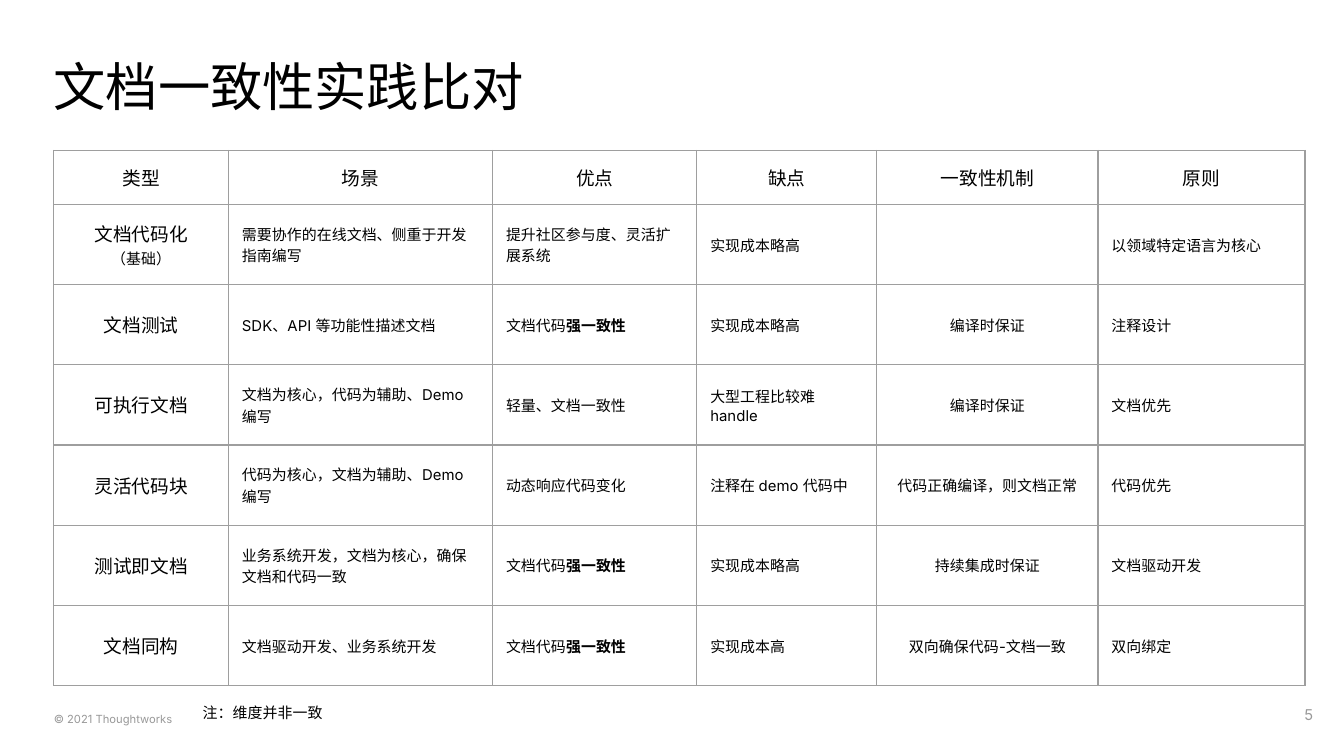
from lxml.etree import SubElement
from pptx import Presentation
from pptx.dml.color import RGBColor
from pptx.enum.text import MSO_ANCHOR as Anchor, MSO_AUTO_SIZE as AutoSize, PP_ALIGN as Align
from pptx.oxml.ns import qn
from pptx.util import Inches, Pt

# Lengths are counted in square grid units, 100 to the slide's width.
UNIT = Inches(10) / 100
SLIDE_WIDTH, SLIDE_HEIGHT = 100, 56.25
LATIN_FONT, CHINESE_FONT = "Inter", "Noto Sans CJK SC"
BLACK, GREY, BORDER = "000000", "999999", "9E9E9E"

COLUMN_WIDTHS = [13, 19.65, 15.2, 13.4, 16.45, 15.4]
HEADER_HEIGHT, ROW_HEIGHT = 4, 5.97
CENTERED_COLUMNS = {0, 4}
HEADINGS = ["类型", "场景", "优点", "缺点", "一致性机制", "原则"]
STRONG = "强一致性"
PRACTICES = [
    ["文档代码化\n（基础）", "需要协作的在线文档、侧重于开发指南编写", "提升社区参与度、灵活扩展系统",
     "实现成本略高", "", "以领域特定语言为核心"],
    ["文档测试", "SDK、API 等功能性描述文档", "文档代码强一致性",
     "实现成本略高", "编译时保证", "注释设计"],
    ["可执行文档", "文档为核心，代码为辅助、Demo 编写", "轻量、文档一致性",
     "大型工程比较难 handle", "编译时保证", "文档优先"],
    ["灵活代码块", "代码为核心，文档为辅助、Demo 编写", "动态响应代码变化",
     "注释在 demo 代码中", "代码正确编译，则文档正常", "代码优先"],
    ["测试即文档", "业务系统开发，文档为核心，确保文档和代码一致", "文档代码强一致性",
     "实现成本略高", "持续集成时保证", "文档驱动开发"],
    ["文档同构", "文档驱动开发、业务系统开发", "文档代码强一致性",
     "实现成本高", "双向确保代码-文档一致", "双向绑定"],
]


def units(count):
    return round(count * UNIT)


def color(value):
    return RGBColor.from_string(value)


def add_run(paragraph, text, size, fill=BLACK, bold=False, latin=LATIN_FONT):
    run = paragraph.add_run()
    run.text = text
    font = run.font
    font.size, font.bold, font.name = Pt(size), bold, latin
    font.color.rgb = color(fill)
    run._r.get_or_add_rPr().find(qn("a:latin")).addnext(
        SubElement(run._r.rPr, qn("a:ea"), typeface=CHINESE_FONT))


def set_margins(frame, inset):
    frame.margin_left = frame.margin_right = units(inset)
    frame.margin_top = frame.margin_bottom = units(inset)


def add_title(slide, box, text):
    title = slide.shapes.title
    title.left, title.top, title.width, title.height = map(units, box)
    frame = title.text_frame
    set_margins(frame, 0)
    frame.word_wrap, frame.auto_size = True, AutoSize.NONE
    frame.vertical_anchor = Anchor.TOP
    paragraph = frame.paragraphs[0]
    paragraph.alignment = Align.LEFT
    add_run(paragraph, text, 28, latin=CHINESE_FONT)


def add_label(slide, box, text, size, fill, inset=1, anchor=Anchor.TOP, align=Align.LEFT):
    frame = slide.shapes.add_textbox(*map(units, box)).text_frame
    frame.word_wrap, frame.vertical_anchor = True, anchor
    set_margins(frame, inset)
    paragraph = frame.paragraphs[0]
    paragraph.alignment = align
    add_run(paragraph, text, size, fill)


def add_borders(cell):
    properties = cell._tc.get_or_add_tcPr()
    for position, side in enumerate(("a:lnL", "a:lnR", "a:lnT", "a:lnB")):
        line = SubElement(properties, qn(side), w=str(Pt(0.75)))
        SubElement(SubElement(line, qn("a:solidFill")), qn("a:srgbClr"), val=BORDER)
        properties.insert(position, line)


def fill_cell(cell, text, sizes, align, anchor):
    """Write one paragraph per line, setting the strong-consistency phrase in bold."""
    cell.fill.background()
    add_borders(cell)
    cell.vertical_anchor = anchor
    set_margins(cell, 1)
    frame = cell.text_frame
    for index, line in enumerate(text.split("\n")):
        paragraph = frame.add_paragraph() if index else frame.paragraphs[0]
        paragraph.alignment = align
        if not line:
            paragraph.font.size = Pt(sizes[index])
            continue
        plain, strong, _ = line.partition(STRONG)
        add_run(paragraph, plain, sizes[index])
        if strong:
            add_run(paragraph, strong, sizes[index], bold=True)


def add_comparison_table(slide, left, top):
    height = HEADER_HEIGHT + ROW_HEIGHT * len(PRACTICES)
    box = (left, top, sum(COLUMN_WIDTHS), height)
    table = slide.shapes.add_table(
        len(PRACTICES) + 1, len(HEADINGS), *map(units, box)).table
    table.first_row = table.horz_banding = False
    for column, width in zip(table.columns, COLUMN_WIDTHS):
        column.width = units(width)
    for index, row in enumerate(table.rows):
        row.height = units(ROW_HEIGHT if index else HEADER_HEIGHT)

    for row_index, texts in enumerate([HEADINGS] + PRACTICES):
        is_header = row_index == 0
        for column_index, text in enumerate(texts):
            centered = is_header or column_index in CENTERED_COLUMNS
            large = is_header or column_index == 0
            fill_cell(table.cell(row_index, column_index), text,
                      (10, 8) if large else (8,),
                      Align.CENTER if centered else Align.LEFT,
                      Anchor.TOP if is_header else Anchor.MIDDLE)


def add_footer(slide, left, top):
    add_label(slide, (left, top + 1.1, 43.1, 1.9), "© 2021 Thoughtworks", 6, GREY,
              inset=0, anchor=Anchor.BOTTOM)
    add_label(slide, (left + 10.1, top + 0.7, 14.6, 3.4), "注：维度并非一致", 8, BLACK)
    add_label(slide, (left + 88.7, top, 6, 4.3), "5", 8, GREY,
              anchor=Anchor.MIDDLE, align=Align.RIGHT)


def main():
    presentation = Presentation()
    presentation.slide_width = units(SLIDE_WIDTH)
    presentation.slide_height = units(SLIDE_HEIGHT)
    slide = presentation.slides.add_slide(presentation.slide_layouts[5])
    margin = 4
    add_title(slide, (margin, 4, 91.9, 6.3), "文档一致性实践比对")
    add_comparison_table(slide, margin, 11.2)
    add_footer(slide, margin, 51)
    presentation.save("out.pptx")


if __name__ == "__main__":
    main()
